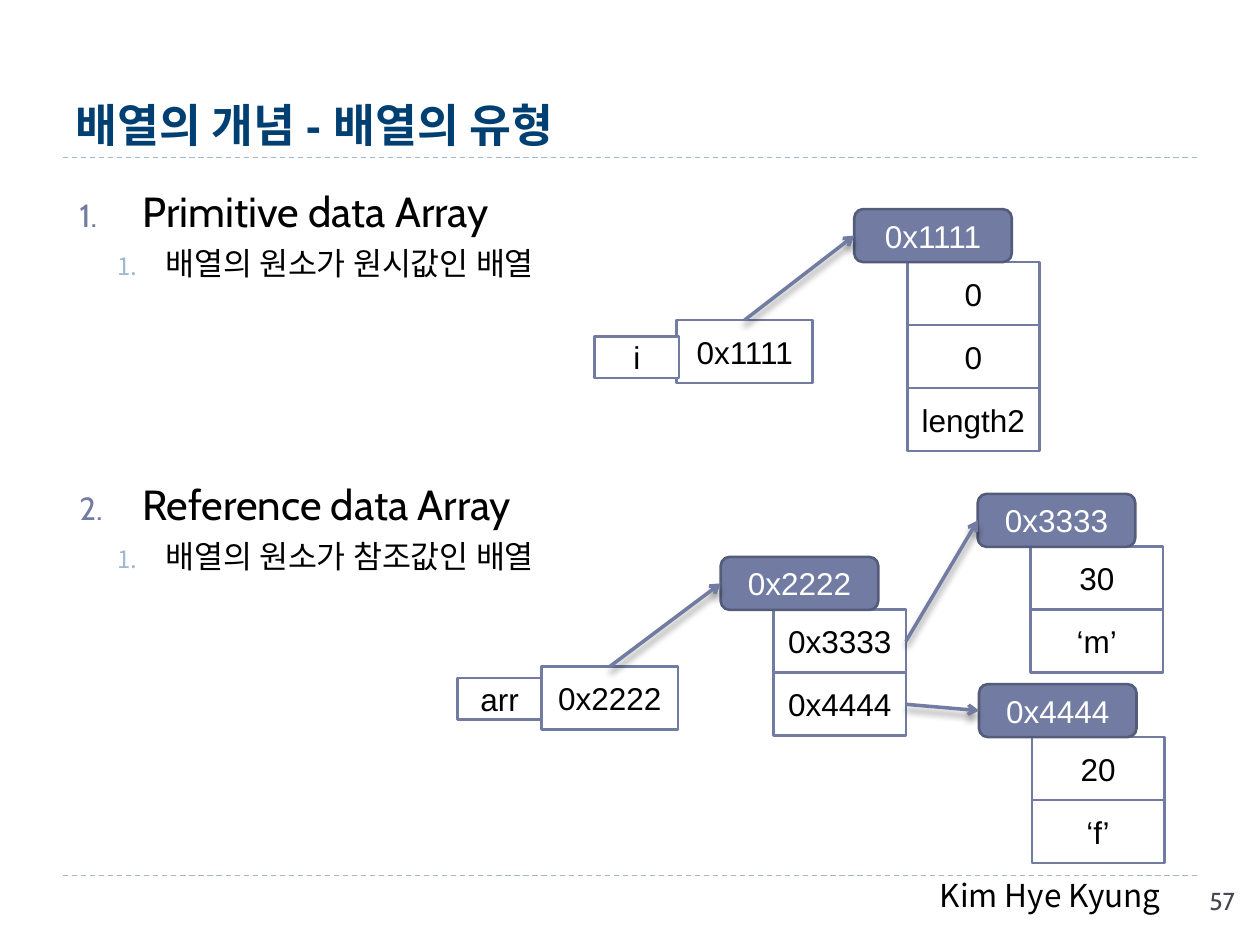
from lxml.etree import SubElement
from pptx import Presentation
from pptx.dml.color import RGBColor
from pptx.enum.dml import MSO_LINE
from pptx.enum.shapes import MSO_CONNECTOR, MSO_SHAPE
from pptx.enum.text import MSO_ANCHOR, MSO_AUTO_SIZE, PP_ALIGN
from pptx.oxml import parse_xml
from pptx.oxml.ns import nsdecls, qn
from pptx.util import Inches, Pt

COLORS = {name: RGBColor.from_string(value) for name, value in {
    "title": "003F71", "text": "000000", "white": "FFFFFF", "accent": "727CA3",
    "tag_line": "545C79", "rule": "9FB8CD", "number": "464653"}.items()}
TOP, LEFT, RIGHT = 0, 1, 3
TAG_H, CELL_H, CELL_W, INDENT = 0.42, 0.5, 1.05, 0.42
SHADOW = (f'<a:effectLst {nsdecls("a")}><a:outerShdw blurRad="50800" dist="43180" '
          'dir="5400000" rotWithShape="0"><a:srgbClr val="000000">'
          '<a:alpha val="40000"/></a:srgbClr></a:outerShdw></a:effectLst>')


def add_run(p, text, size, color, font, bold=False):
    r = p.add_run()
    r.text = text
    for key, value in {"size": Pt(size), "name": font, "bold": bold}.items():
        setattr(r.font, key, value)
    r.font.color.rgb = COLORS[color]


def add_box(text, x, y, w, h, kind=MSO_SHAPE.RECTANGLE,
            fill="white", line="accent", color="text"):
    sp = s.shapes.add_shape(kind, Inches(x), Inches(y), Inches(w), Inches(h))
    sp.shadow.inherit = False
    sp.fill.solid()
    sp.fill.fore_color.rgb = COLORS[fill]
    sp.line.color.rgb = COLORS[line]
    sp.line.width = Pt(1.5)
    tf = sp.text_frame
    tf.word_wrap = False
    tf.vertical_anchor = MSO_ANCHOR.MIDDLE
    p = tf.paragraphs[0]
    p.alignment = PP_ALIGN.CENTER
    add_run(p, text, 18, color, "Arial")
    return sp


prs = Presentation()
prs.slide_width, prs.slide_height = Inches(10), Inches(7.5)
s = prs.slides.add_slide(prs.slide_layouts[1])

# Dashed rules above and below the content
for y in (6.95, 1.25):
    rule = s.shapes.add_connector(
        MSO_CONNECTOR.STRAIGHT, Inches(0.5), Inches(y), Inches(9.5), Inches(y))
    rule.line.color.rgb = COLORS["rule"]
    rule.line.width = Pt(0.75)
    rule.line.dash_style = MSO_LINE.DASH
    SubElement(rule._element.spPr, qn("a:effectLst"))

# Footer: author and page number
for text, x, y, w, size, color, font in (
        ("Kim Hye Kyung", 7.36, 6.9, 2.1, 18, "text", "Noto Sans CJK KR"),
        ("57", 9.5, 6.98, 0.5, 14, "number", "Cabin")):
    tb = s.shapes.add_textbox(Inches(x), Inches(y), Inches(w), Inches(0.4))
    tb.text_frame.word_wrap = True
    add_run(tb.text_frame.paragraphs[0], text, size, color, font)

# Title and numbered list
title, body = s.shapes.title, s.placeholders[1]
for ph, y, h, x, anchor in ((title, 0.17, 1.08, 0.5, MSO_ANCHOR.BOTTOM),
                            (body, 1.42, 5.4, 0.53, MSO_ANCHOR.TOP)):
    ph.left, ph.top, ph.width, ph.height = map(Inches, (x, y, 9, h))
    ph.text_frame.auto_size = MSO_AUTO_SIZE.NONE
    ph.text_frame.vertical_anchor = anchor
p = title.text_frame.paragraphs[0]
p.alignment = PP_ALIGN.LEFT
add_run(p, "배열의 개념 - 배열의 유형", 26, "title", "Arial", bold=True)

LEVELS = ({"size": 24, "margin": 0.5, "hanging": 0.5, "bullet": "727CA3"},
          {"size": 18, "margin": 0.68, "hanging": 0.38, "bullet": "9FB8CD"})
items = ((0, "Primitive data Array", 6), (1, "배열의 원소가 원시값인 배열", 5),
         (0, "Reference data Array", 112), (1, "배열의 원소가 참조값인 배열", 5))
tf = body.text_frame
for i, (level, text, before) in enumerate(items):
    p = tf.add_paragraph() if i else tf.paragraphs[0]
    style = LEVELS[level]
    p.level = level
    p.space_before = Pt(before)
    pPr = p._p.get_or_add_pPr()
    pPr.set("marL", str(Inches(style["margin"])))
    pPr.set("indent", str(-Inches(style["hanging"])))
    bullet_color = SubElement(pPr, qn("a:buClr"))
    SubElement(bullet_color, qn("a:srgbClr"), val=style["bullet"])
    SubElement(pPr, qn("a:buSzPct"), val="76000")
    SubElement(pPr, qn("a:buAutoNum"), type="arabicPeriod")
    add_run(p, text, style["size"], "text", "Cabin")

# Heap objects: an address tag with its cells stacked below
tags, cells = {}, {}
for address, x, y, values in (("0x1111", 6.78, 1.66, ("0", "0", "length2")),
                              ("0x2222", 5.72, 4.42, ("0x3333", "0x4444")),
                              ("0x3333", 7.76, 3.92, ("30", "‘m’")),
                              ("0x4444", 7.77, 5.43, ("20", "‘f’"))):
    for i, value in enumerate(values):
        cells[address, i] = add_box(
            value, x + INDENT, y + TAG_H + i * CELL_H, CELL_W, CELL_H)
    tags[address] = add_box(address, x, y, 1.25, TAG_H, MSO_SHAPE.ROUNDED_RECTANGLE,
                            "accent", "tag_line", "white")

# Variables: a value box with a name label on its left
variables = {}
for name, address, x, y, label_x, label_y in (("i", "0x1111", 5.37, 2.54, 4.72, 2.67),
                                              ("arr", "0x2222", 4.3, 5.29, 3.63, 5.38)):
    variables[name] = add_box(address, x, y, 1.08, 0.5)
    add_box(name, label_x, label_y, 0.67, 0.33)

# References
for source, side, address in ((variables["i"], TOP, "0x1111"),
                              (variables["arr"], TOP, "0x2222"),
                              (cells["0x2222", 0], RIGHT, "0x3333"),
                              (cells["0x2222", 1], RIGHT, "0x4444")):
    arrow = s.shapes.add_connector(MSO_CONNECTOR.STRAIGHT, 0, 0, 0, 0)
    arrow.begin_connect(source, side)
    arrow.end_connect(tags[address], LEFT)
    arrow.line.color.rgb = COLORS["accent"]
    arrow.line.width = Pt(2)
    SubElement(arrow.line._get_or_add_ln(), qn("a:tailEnd"), type="arrow")
    arrow._element.spPr.append(parse_xml(SHADOW))

prs.save("out.pptx")
